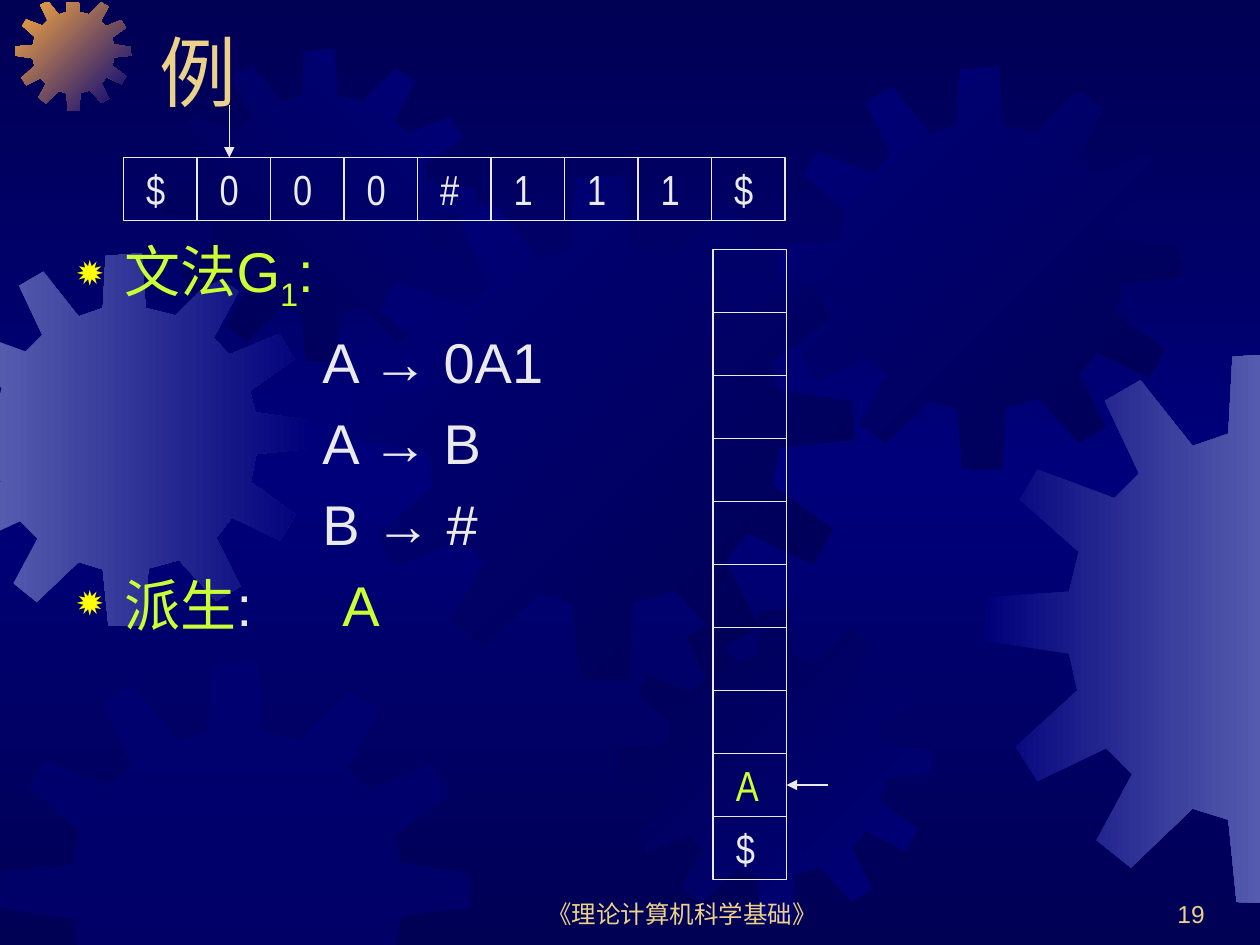
from dataclasses import dataclass

from lxml.etree import SubElement
from pptx import Presentation
from pptx.dml.color import RGBColor
from pptx.enum.shapes import MSO_CONNECTOR as Connector, MSO_SHAPE as Shape
from pptx.enum.text import MSO_ANCHOR as Anchor, PP_ALIGN as Align
from pptx.oxml.ns import qn
from pptx.util import Inches, Pt


@dataclass(frozen=True)
class Theme:
    night: str = "000054"
    blue: str = "00007A"
    haze: str = "555BAD"
    orange: str = "FCAB40"
    gold: str = "EBD189"
    lime: str = "CCFF33"
    yellow: str = "FFFF00"
    white: str = "EAEAEA"
    font: str = "Arial"
    cell_font: str = "Arial Narrow"
    title_size: int = 44
    body_size: int = 32
    cell_size: int = 24
    footer_size: int = 14
    line_width: float = 0.75


THEME = Theme()
WIDTH, HEIGHT = 10, 7.5
GEAR_SPAN = 401
GEAR = [
    (255, 67), (223, 59), (219, 0), (180, 3), (177, 59), (151, 68),
    (113, 20), (87, 35), (112, 88), (94, 106), (38, 85), (25, 107),
    (68, 145), (61, 174), (1, 178), (0, 210), (61, 219), (67, 246),
    (22, 287), (38, 312), (88, 288), (107, 307), (81, 355), (106, 375),
    (151, 332), (177, 340), (183, 400), (222, 401), (226, 339), (259, 330),
    (299, 374), (325, 358), (299, 306), (316, 284), (368, 309), (384, 281),
    (336, 246), (342, 216), (401, 210), (400, 180), (341, 171), (335, 148),
    (383, 114), (367, 87), (313, 109), (296, 91), (323, 41), (297, 25),
]
GEARS = [
    (-0.49, 2.01, 2.96, (THEME.haze, THEME.blue), 0),
    (0.12, -0.04, 0.92, (THEME.orange, THEME.blue), 45),
    (1.3, 0.39, 2.48, (THEME.night, THEME.blue), 315),
    (2.77, 1.39, 4.01, (THEME.blue, THEME.night), 45),
    (0, 5.25, 3.74, (THEME.blue,), 0),
    (4.91, 4.84, 2.48, (THEME.night, THEME.blue), 45),
    (6.18, 0.53, 3.2, (THEME.blue, THEME.night), 45),
    (7.82, 2.8, 4.37, (THEME.blue, THEME.haze), 0),
]
TAPE = "$000#111$"
TAPE_WIDTH = 5.25
CELL_WIDTH = TAPE_WIDTH / len(TAPE)
CELL_HEIGHT = 0.5
STACK = [""] * 8 + ["A", "$"]
RULES = ["A → 0A1", "A → B", "B → #"]


def rgb(color):
    return RGBColor.from_string(color)


def fill_gradient(fill, element, colors, angle):
    fill.gradient()
    fill.gradient_angle = (360 - angle) % 360
    stops = element.find(".//" + qn("a:gsLst"))
    for stop in list(stops):
        stops.remove(stop)
    for index, color in enumerate(colors):
        position = 100000 * index // (len(colors) - 1)
        stop = SubElement(stops, qn("a:gs"), pos=str(position))
        SubElement(stop, qn("a:srgbClr"), val=color)


def clip(points, axis, limit, sign):
    kept = []
    for start, end in zip(points, points[1:] + points[:1]):
        inside, next_inside = (sign * (point[axis] - limit) >= 0 for point in (start, end))
        if inside:
            kept.append(start)
        if inside != next_inside:
            share = (limit - start[axis]) / (end[axis] - start[axis])
            kept.append(tuple(a + share * (b - a) for a, b in zip(start, end)))
    return kept


def add_gear(page, left, top, size, colors, angle):
    scale = size / GEAR_SPAN
    points = [(left + x * scale, top + y * scale) for x, y in GEAR]
    for axis, limit, sign in ((0, 0, 1), (0, WIDTH, -1), (1, 0.02, 1), (1, HEIGHT, -1)):
        points = clip(points, axis, limit, sign)
    corners = [(Inches(x), Inches(y)) for x, y in points]
    builder = page.shapes.build_freeform(*corners[0])
    builder.add_line_segments(corners[1:], close=True)
    gear = builder.convert_to_shape()
    gear.shadow.inherit = False
    gear.line.fill.background()
    if len(colors) > 1:
        fill_gradient(gear.fill, gear.element, colors, angle)
    else:
        gear.fill.solid()
        gear.fill.fore_color.rgb = rgb(colors[0])
        paint = gear.element.spPr.find(".//" + qn("a:srgbClr"))
        SubElement(paint, qn("a:alpha"), val="50000")


def add_span(para, text, *, size, color, font=THEME.font, baseline=0):
    span = para.add_run()
    span.text = text
    span.font.size = Pt(size)
    span.font.name = font
    span.font.color.rgb = rgb(color)
    if baseline:
        span._r.get_or_add_rPr().set("baseline", str(baseline * 1000))


def add_box(page, left, top, width, height, anchor=Anchor.TOP):
    box = page.shapes.add_textbox(*map(Inches, (left, top, width, height)))
    box.text_frame.word_wrap = True
    box.text_frame.vertical_anchor = anchor
    return box.text_frame


def add_label(page, text, *place, size, align=Align.LEFT):
    para = add_box(page, *place, anchor=Anchor.BOTTOM).paragraphs[0]
    para.alignment = align
    add_span(para, text, size=size, color=THEME.gold)


def format_para(para, *, margin, bullet=False, tab=None):
    props = para._p.get_or_add_pPr()
    props.set("marL", str(Inches(margin)))
    props.set("indent", str(-Inches(margin) if bullet else 0))
    if bullet:
        SubElement(SubElement(props, qn("a:buClr")), qn("a:srgbClr"), val=THEME.yellow)
        SubElement(props, qn("a:buSzPct"), val="80000")
        SubElement(props, qn("a:buChar"), char="✹")
    if tab:
        tabs = SubElement(props, qn("a:tabLst"))
        SubElement(tabs, qn("a:tab"), pos=str(Inches(tab)), algn="l")


def add_grammar(page):
    frame = add_box(page, 0.51, 1.83, 4.7, 5.08)
    lime = dict(size=THEME.body_size, color=THEME.lime)
    white = dict(size=THEME.body_size, color=THEME.white)
    heading = frame.paragraphs[0]
    format_para(heading, margin=0.38, bullet=True)
    add_span(heading, "文法G", **lime)
    add_span(heading, "1", baseline=-25, **lime)
    add_span(heading, ":", **lime)
    for rule in RULES:
        para = frame.add_paragraph()
        format_para(para, margin=1.95)
        para.space_before = Pt(8)
        add_span(para, rule, **white)
    derivation = frame.add_paragraph()
    format_para(derivation, margin=0.38, bullet=True, tab=2.11)
    derivation.space_before = Pt(8)
    add_span(derivation, "派生", **lime)
    add_span(derivation, ":\t", **white)
    add_span(derivation, "A", **lime)


def add_cell(page, left, top, text, color=THEME.white):
    cell = page.shapes.add_shape(
        Shape.RECTANGLE, *map(Inches, (left, top, CELL_WIDTH, CELL_HEIGHT)))
    cell.shadow.inherit = False
    cell.fill.background()
    cell.line.color.rgb = rgb(THEME.white)
    cell.line.width = Pt(THEME.line_width)
    if text:
        frame = cell.text_frame
        frame.margin_left = Inches(0.18)
        frame.vertical_anchor = Anchor.MIDDLE
        frame.paragraphs[0].alignment = Align.LEFT
        add_span(frame.paragraphs[0], text, size=THEME.cell_size,
                 color=color, font=THEME.cell_font)
    return cell


def add_arrow(page, *ends):
    arrow = page.shapes.add_connector(Connector.STRAIGHT, *map(Inches, ends))
    arrow.line.color.rgb = rgb(THEME.white)
    arrow.line.width = Pt(THEME.line_width)
    SubElement(arrow.line._get_or_add_ln(), qn("a:tailEnd"), type="triangle")
    SubElement(arrow.element.spPr, qn("a:effectLst"))
    return arrow


def main():
    deck = Presentation()
    deck.slide_width, deck.slide_height = Inches(WIDTH), Inches(HEIGHT)
    page = deck.slides.add_slide(deck.slide_layouts[6])
    fill_gradient(page.background.fill, page.element,
                  (THEME.night, THEME.blue, THEME.night), 90)
    for gear in GEARS:
        add_gear(page, *gear)

    add_label(page, "《理论计算机科学基础》", 3.83, 6.92, 3.17, 0.5,
              size=THEME.footer_size, align=Align.CENTER)
    add_label(page, "19", 7.58, 6.92, 2.08, 0.5,
              size=THEME.footer_size, align=Align.RIGHT)
    add_label(page, "例", 1.17, -0.27, 8.5, 1.25, size=THEME.title_size)
    add_grammar(page)

    for index, symbol in enumerate(TAPE):
        add_cell(page, 0.98 + index * CELL_WIDTH, 1.25, symbol)
    add_arrow(page, 1.82, 0.83, 1.82, 1.25)

    for index, symbol in enumerate(STACK):
        color = THEME.lime if symbol == "A" else THEME.white
        cell = add_cell(page, 5.66, 1.98 + index * CELL_HEIGHT, symbol, color)
        if symbol == "A":
            add_arrow(page, 6.57, 6.23, 6.24, 6.23).end_connect(cell, 3)

    deck.save("out.pptx")


if __name__ == "__main__":
    main()
